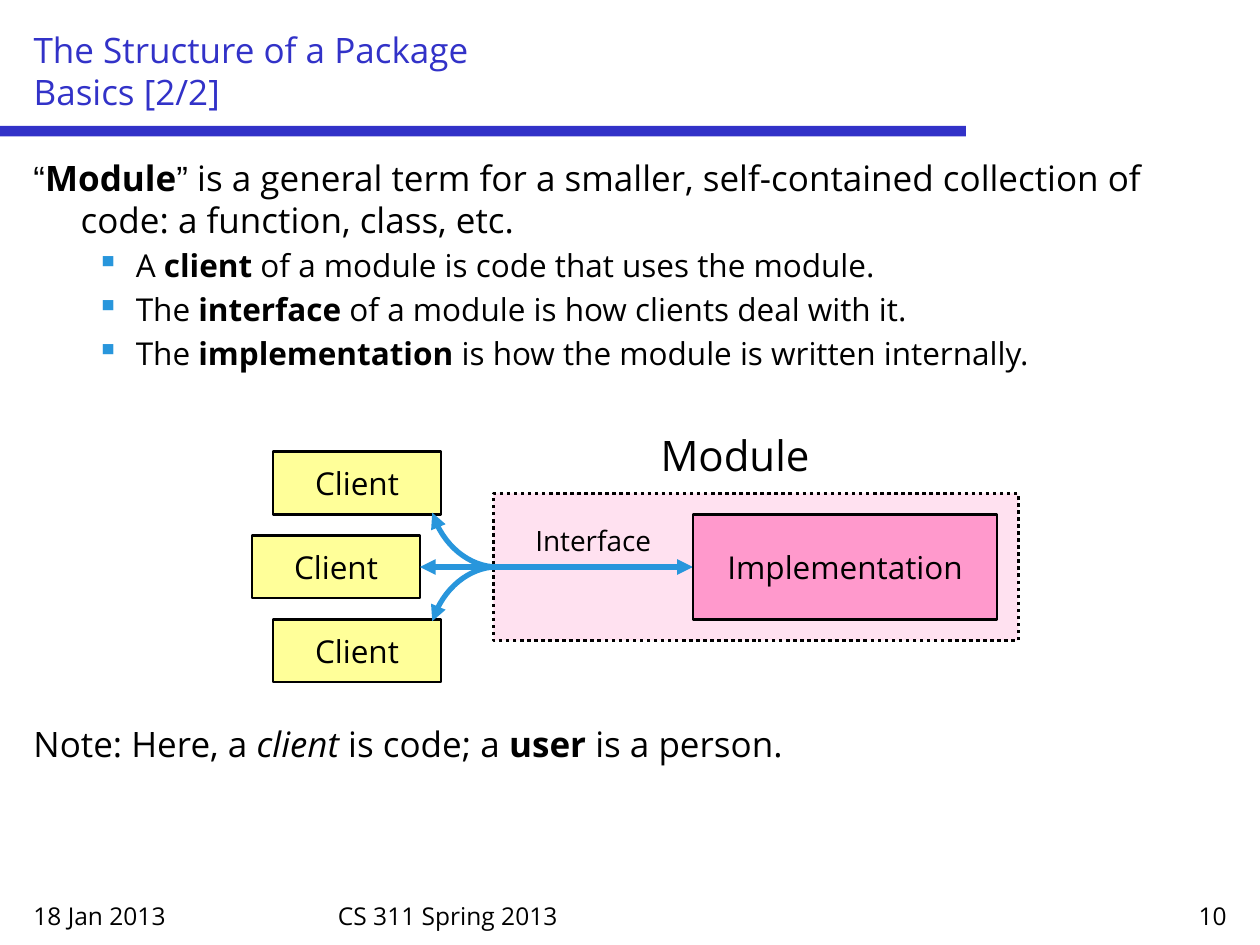
from lxml.etree import SubElement as Sub
from pptx import Presentation
from pptx.dml.color import RGBColor as RGB
from pptx.enum.dml import MSO_LINE as Dash
from pptx.enum.shapes import MSO_CONNECTOR as Conn, MSO_SHAPE as Shape
from pptx.enum.text import MSO_ANCHOR as Anchor, MSO_AUTO_SIZE as Auto, PP_ALIGN as Align
from pptx.oxml.ns import qn
from pptx.util import Pt

NAVY = RGB(0x32, 0x32, 0xC8)
SKY = RGB(0x28, 0x96, 0xDC)
CREAM = RGB(0xFF, 0xFF, 0x99)
BLUSH = RGB(0xFF, 0xE1, 0xF0)
PINK = RGB(0xFF, 0x99, 0xCC)
BLACK = RGB(0, 0, 0)
FONT = "Open Sans"
BOLD = {"bold": True}
ITALIC = {"italic": True}
ARIAL = {"name": "Arial"}


def apply(item, form):
    for key, value in form.items():
        setattr(item, key, value)


def place(item, box):
    apply(item, dict(zip(("left", "top", "width", "height"), map(Pt, box))))


def fill_para(para, runs, size, color=BLACK, **form):
    apply(para, form)
    for words, style in runs:
        run = para.add_run()
        run.text = words
        apply(run.font, {"name": FONT, "size": Pt(size)} | style)
        run.font.color.rgb = color


def set_frame(frame, size, **form):
    apply(frame, {"word_wrap": True, "auto_size": Auto.NONE,
                  "vertical_anchor": Anchor.TOP,
                  "margin_top": Pt(3.6 + 0.085 * size)} | form)


def add_text(slide, box, words, size, align=Align.LEFT):
    frame = slide.shapes.add_textbox(*map(Pt, box)).text_frame
    set_frame(frame, size)
    fill_para(frame.paragraphs[0], [(words, {})], size,
              alignment=align, line_spacing=Pt(1.2 * size))


def add_block(slide, box, fill, width=1.25, words="", dash=None):
    block = slide.shapes.add_shape(Shape.RECTANGLE, *map(Pt, box))
    block.shadow.inherit = False
    block.fill.solid()
    block.fill.fore_color.rgb = fill
    if width:
        block.line.color.rgb = BLACK
        block.line.width = Pt(width)
    else:
        block.line.fill.background()
    if dash:
        block.line.dash_style = dash
    if words:
        frame = block.text_frame
        apply(frame, {"word_wrap": False, "vertical_anchor": Anchor.MIDDLE})
        fill_para(frame.paragraphs[0], [(words, {})], 18, alignment=Align.CENTER)


def style_arrow(item, ends):
    item.line.color.rgb = SKY
    item.line.width = Pt(3)
    props = item._element.spPr
    for end in ends:
        Sub(props.find(qn("a:ln")), qn(end), type="triangle")
    if props.find(qn("a:effectLst")) is None:
        Sub(props, qn("a:effectLst"))


def add_curve(slide, ends):
    def point(t):
        parts = ((1 - t) ** 3, 3 * t * (1 - t) ** 2, 3 * t * t * (1 - t), t ** 3)
        return tuple(Pt(sum(p * e[i] for p, e in zip(parts, ends))) for i in (0, 1))

    dots = [point(n / 16) for n in range(17)]
    build = slide.shapes.build_freeform(*dots[0], scale=1.0)
    build.add_line_segments(dots[1:], close=False)
    curve = build.convert_to_shape()
    curve.fill.background()
    style_arrow(curve, ["a:tailEnd"])


def add_head(slide, box):
    x, y, w, h = box
    add_block(slide, (x, y + 72, 552, 6), NAVY, 0)
    title = slide.shapes.title
    place(title, (x + 12, y + 12, w - 24, h - 24))
    set_frame(title.text_frame, 20, vertical_anchor=Anchor.BOTTOM,
              margin_top=Pt(3.6), margin_bottom=Pt(1.9))
    para = title.text_frame.paragraphs[0]
    para.text = "The Structure of a Package\vBasics [2/2]"
    apply(para, {"alignment": Align.LEFT, "line_spacing": Pt(24)})
    for run in para.runs:
        apply(run.font, {"name": FONT, "size": Pt(20)})
        run.font.color.rgb = NAVY


def add_body(slide, box):
    frame = slide.shapes.add_textbox(*map(Pt, box)).text_frame
    set_frame(frame, 20)
    para = frame.paragraphs[0]
    fill_para(para, [("“", ARIAL), ("Module", BOLD), ("”", ARIAL),
                     (" is a general term for a smaller, self-contained collection "
                      "of code: a function, class, etc.", {})],
              20, line_spacing=Pt(24))
    apply_indent(para, 27, -27)
    for lead, term, rest in (
            ("A ", "client", " of a module is code that uses the module."),
            ("The ", "interface", " of a module is how clients deal with it."),
            ("The ", "implementation", " is how the module is written internally.")):
        para = frame.add_paragraph()
        fill_para(para, [(lead, {}), (term, BOLD), (rest, {})], 18,
                  level=1, space_before=Pt(3.6), line_spacing=Pt(21.5))
        apply_indent(para, 58.5, -22.5)
        props = para._p.get_or_add_pPr()
        Sub(Sub(props, qn("a:buClr")), qn("a:srgbClr"), val=str(SKY))
        Sub(props, qn("a:buChar"), char="▪")
    para = frame.add_paragraph()
    fill_para(para, [("Note: Here, a ", {}), ("client", ITALIC), (" is code; a ", {}),
                     ("user", BOLD), (" is a person.", {})],
              20, space_before=Pt(200), line_spacing=Pt(24))
    apply_indent(para, 27, -27)


def apply_indent(para, left, first):
    props = para._p.get_or_add_pPr()
    props.set("marL", str(Pt(left)))
    props.set("indent", str(Pt(first)))


def add_chart(slide, box):
    x, y, w, h = box
    mid = y + 84
    add_text(slide, (x + 222, y, 108, 37), "Module", 24, Align.CENTER)
    add_block(slide, (x + 138, y + 42, w - 138, 84), BLUSH, 2, dash=Dash.ROUND_DOT)
    for n, shift in enumerate((12, 0, 12)):
        add_block(slide, (x + shift, y + 18 + 48 * n, 96, 36), CREAM, words="Client")
    arrow = slide.shapes.add_connector(
        Conn.STRAIGHT, *map(Pt, (x + 96, mid, x + 252, mid)))
    style_arrow(arrow, ["a:headEnd", "a:tailEnd"])
    for sign in (-1, 1):
        add_curve(slide, [(x + dx, mid + sign * dy) for dx, dy in
                          ((140, 0), (124.5, 0), (109, 12), (103, 31))])
    add_block(slide, (x + 252, y + 54, 174, 60), PINK, words="Implementation")
    add_text(slide, (x + 144, y + 54, 102, 27), "Interface", 16, Align.CENTER)


def add_foot(slide, box):
    x, y, w, h = box
    for shift, width, words, align in (
            (0, 168, "18 Jan 2013", Align.LEFT),
            (174, 348, "CS 311 Spring 2013", Align.LEFT),
            (w - 168, 168, "10", Align.RIGHT)):
        add_text(slide, (x + shift, y, width, h), words, 14, align)


deck = Presentation()
apply(deck, {"slide_width": Pt(720), "slide_height": Pt(540)})
slide = deck.slides.add_slide(deck.slide_layouts[5])
add_head(slide, (0, 0, 720, 78))
add_foot(slide, (12, 510, 696, 24))
add_body(slide, (12, 84, 696, 420))
add_chart(slide, (144, 240, 438, 150))
deck.save("out.pptx")
